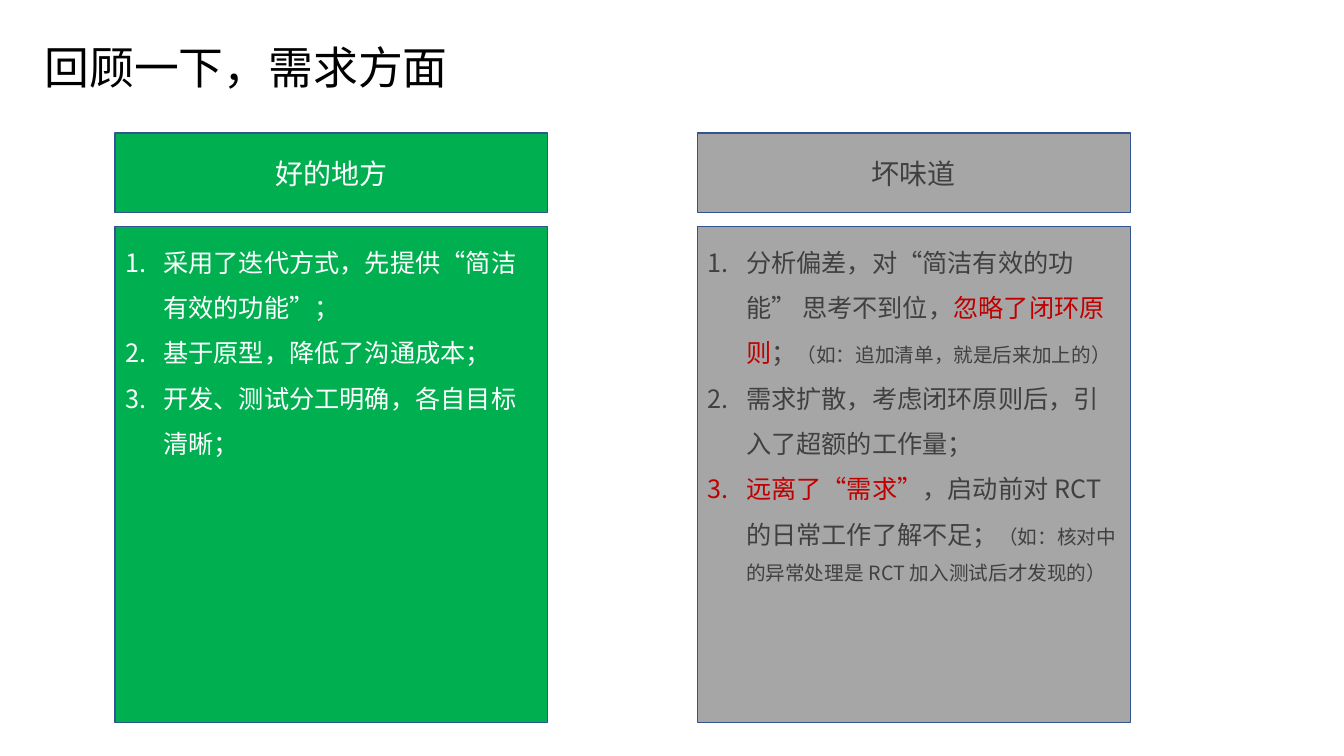
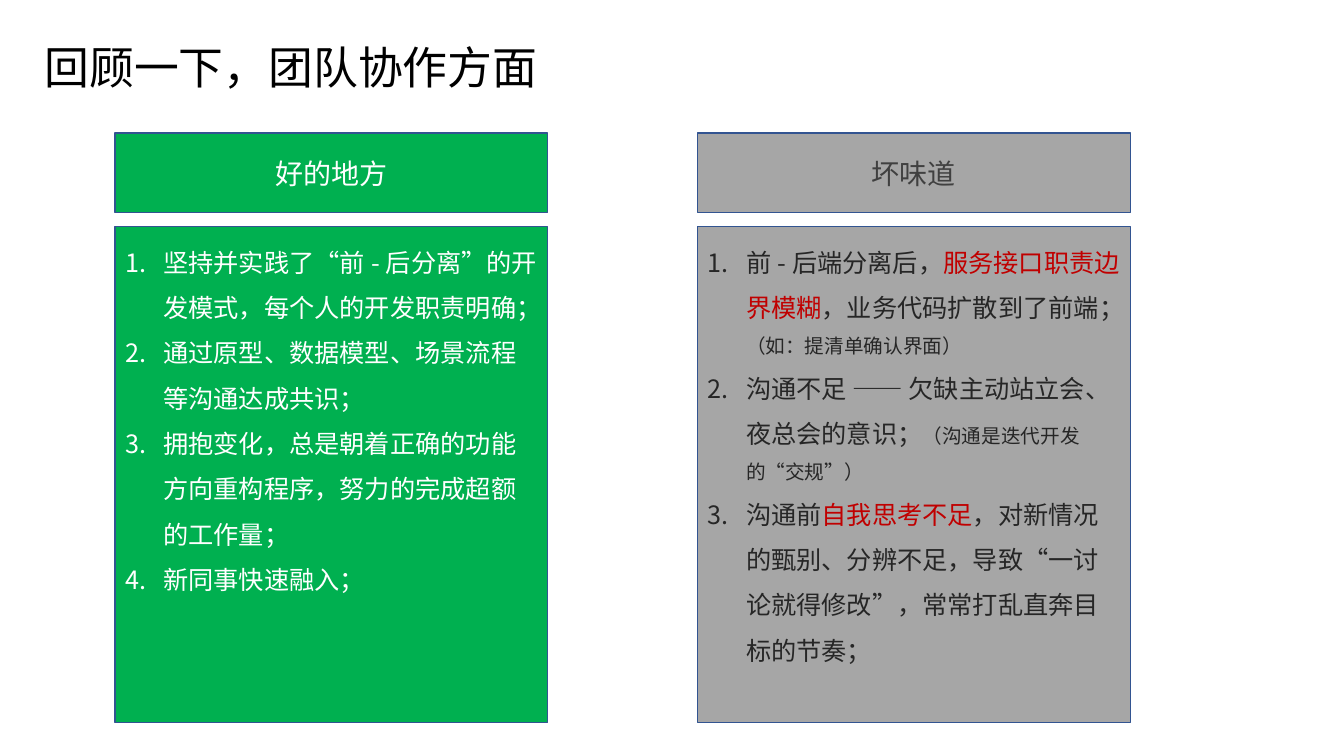
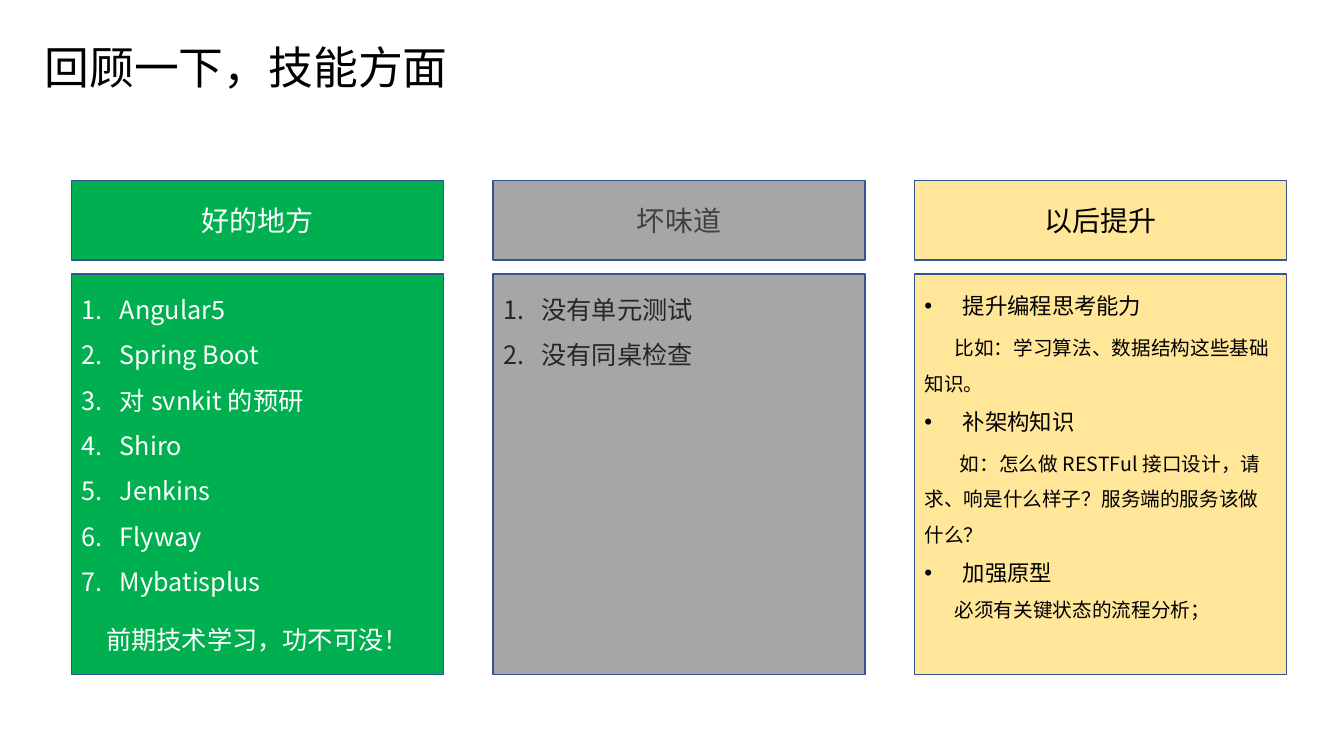
"""Builds three retrospective slides with paired headings and lists."""
from dataclasses import dataclass
from typing import NamedTuple

from lxml.etree import SubElement
from pptx import Presentation
from pptx.dml.color import RGBColor
from pptx.enum.shapes import MSO_SHAPE as Shape
from pptx.enum.text import MSO_ANCHOR as Anchor, MSO_AUTO_SIZE as AutoSize, PP_ALIGN as Align
from pptx.oxml.ns import qn
from pptx.util import Inches, Pt


@dataclass(frozen=True)
class Theme:
    """Colours, font and type sizes of the deck."""
    font: str = "Noto Sans CJK SC"
    green: str = "00B050"
    grey: str = "A6A6A6"
    yellow: str = "FFE699"
    border: str = "325491"
    white: str = "FFFFFF"
    black: str = "000000"
    dark: str = "404040"
    darker: str = "262626"
    red: str = "C00000"
    title: int = 32
    heading: int = 20
    list: int = 18
    bullet: int = 16
    small: int = 14
    spacing: float = 1.5


@dataclass(frozen=True)
class Grid:
    """Columns of a slide, each a heading row above a list row, in inches."""
    left: float
    top: float
    width: float
    gutter: float
    list_height: float
    heading_height: float = 0.79
    gap: float = 0.14

    def column(self, i):
        """Return the heading box and the list box of column i."""
        x = self.left + i * (self.width + self.gutter)
        list_top = self.top + self.heading_height + self.gap
        return ((x, self.top, self.width, self.heading_height),
                (x, list_top, self.width, self.list_height))


class Run(NamedTuple):
    """Text with its own colour or size."""
    text: str
    color: str = None
    size: int = None


class Para(NamedTuple):
    """Runs with paragraph settings; mark is a number, a bullet or nothing."""
    runs: list
    mark: str = "number"
    size: int = None
    indent: float = 0
    before: float = 0
    align: Align = Align.LEFT


T = Theme()
HANG = 0.38
TWO_COLUMNS = Grid(1.14, 1.32, 4.29, 1.49, 4.92)
THREE_COLUMNS = Grid(0.71, 1.79, 3.69, 0.49, 3.97)


def hot(text):
    """Return a run in the warning colour."""
    return Run(text, color=T.red)


def small(text):
    """Return a run in the small size."""
    return Run(text, size=T.small)


def items(*rows):
    """Return a numbered paragraph for each row of runs."""
    return [Para(row if isinstance(row, list) else [row]) for row in rows]


def bullet(text):
    """Return a bulleted paragraph."""
    return Para([text], "bullet", T.bullet)


def detail(text, indent, before=0):
    """Return a small paragraph with an indented first line."""
    return Para([text], None, T.small, indent, before)


class Deck:
    """Holds the style and the current slide."""

    def __init__(self, theme):
        """Start an empty wide presentation."""
        self.theme = theme
        self.prs = Presentation()
        self.prs.slide_width, self.prs.slide_height = Inches(13.33), Inches(7.5)

    def slide(self, title, grid):
        """Add a slide with its title."""
        self.s = self.prs.slides.add_slide(self.prs.slide_layouts.get_by_name("Comparison"))
        self.grid = grid
        self.spare = (sp for sp in self.s.placeholders if sp.placeholder_format.idx)
        sp, size = self.s.shapes.title, self.theme.title
        self.place(sp, (0.34, 0.34, len(title) * size / 72 + 0.25, 0.64))
        self.fill_text(sp, [Para([title], None)], size, self.theme.black, 1)

    def place(self, sp, box):
        """Move a shape to a box given in inches."""
        sp.left, sp.top, sp.width, sp.height = map(Inches, box)

    def box(self, box, fill):
        """Fill the next free placeholder, or a rectangle when none is left."""
        sp = next(self.spare, None) or self.s.shapes.add_shape(Shape.RECTANGLE, 0, 0, 0, 0)
        self.place(sp, box)
        sp.shadow.inherit = False
        sp.fill.solid()
        sp.fill.fore_color.rgb = RGBColor.from_string(fill)
        sp.line.color.rgb = RGBColor.from_string(self.theme.border)
        sp.line.width = Pt(1)
        return sp

    def column(self, i, heading, paras, fill, heading_color, list_color):
        """Add a heading and the list below it."""
        t = self.theme
        heading_box, list_box = self.grid.column(i)
        self.fill_text(self.box(heading_box, fill), [Para([heading], None, align=Align.CENTER)],
                       t.heading, heading_color, 1, Anchor.MIDDLE)
        self.fill_text(self.box(list_box, fill), paras, t.list, list_color, t.spacing)

    def good(self, paras):
        """Add the green first column."""
        self.column(0, "好的地方", paras, self.theme.green, self.theme.white, self.theme.white)

    def bad(self, paras, color):
        """Add the grey second column."""
        self.column(1, "坏味道", paras, self.theme.grey, self.theme.dark, color)

    def better(self, paras):
        """Add the yellow third column."""
        self.column(2, "以后提升", paras, self.theme.yellow, self.theme.black, self.theme.black)

    def fill_text(self, sp, paras, size, color, spacing, anchor=Anchor.TOP):
        """Fill a shape with paragraphs."""
        tf = sp.text_frame
        tf.word_wrap, tf.auto_size, tf.vertical_anchor = True, AutoSize.NONE, anchor
        for i, para in enumerate(paras):
            p = tf.add_paragraph() if i else tf.paragraphs[0]
            p.alignment, p.line_spacing = para.align, spacing
            p.space_before, p.space_after = Pt(para.before), Pt(0)
            self.mark(p, para)
            for run in para.runs:
                run = run if isinstance(run, Run) else Run(run)
                r = p.add_run()
                r.text = run.text
                self.style(r, run.size or para.size or size, run.color or color)

    def mark(self, p, para):
        """Set the indent and the number or bullet of a paragraph."""
        pPr = p._p.get_or_add_pPr()
        pPr.set("marL", str(Inches(HANG if para.mark else 0)))
        pPr.set("indent", str(Inches(-HANG if para.mark else para.indent)))
        if para.mark == "number":
            SubElement(pPr, qn("a:buFont"), typeface=self.theme.font)
            SubElement(pPr, qn("a:buAutoNum"), type="arabicPeriod")
        elif para.mark == "bullet":
            SubElement(pPr, qn("a:buFont"), typeface="Arial")
            SubElement(pPr, qn("a:buChar"), char="•")
        else:
            SubElement(pPr, qn("a:buNone"))

    def style(self, r, size, color):
        """Set the font of a run for Latin and Chinese text."""
        r.font.size, r.font.bold, r.font.name = Pt(size), False, self.theme.font
        r.font.color.rgb = RGBColor.from_string(color)
        SubElement(r._r.get_or_add_rPr(), qn("a:ea"), typeface=self.theme.font)


def main():
    """Build the deck."""
    deck = Deck(T)

    deck.slide("回顾一下，需求方面", TWO_COLUMNS)
    deck.good(items(
        "采用了迭代方式，先提供“简洁有效的功能”；",
        "基于原型，降低了沟通成本；",
        "开发、测试分工明确，各自目标清晰；"))
    deck.bad(items(
        ["分析偏差，对“简洁有效的功能” 思考不到位，", hot("忽略了闭环原则"), "；",
         small("（如：追加清单，就是后来加上的）")],
        "需求扩散，考虑闭环原则后，引入了超额的工作量；",
        [hot("远离了“需求”"), "，启动前对RCT的日常工作了解不足；",
         small("（如：核对中的异常处理是RCT加入测试后才发现的）")]), T.dark)

    deck.slide("回顾一下，团队协作方面", TWO_COLUMNS)
    deck.good(items(
        "坚持并实践了“前-后分离”的开发模式，每个人的开发职责明确；",
        "通过原型、数据模型、场景流程等沟通达成共识；",
        "拥抱变化，总是朝着正确的功能方向重构程序，努力的完成超额的工作量；",
        "新同事快速融入；"))
    deck.bad(items(
        ["前-后端分离后，", hot("服务接口职责边界模糊"), "，业务代码扩散到了前端；",
         small("（如：提清单确认界面）")],
        ["沟通不足 —— 欠缺主动站立会、夜总会的意识；", small("（沟通是迭代开发的“交规”）")],
        ["沟通前", hot("自我思考不足"),
         "，对新情况的甄别、分辨不足，导致“一讨论就得修改”，常常打乱直奔目标的节奏；"]), T.darker)

    deck.slide("回顾一下，技能方面", THREE_COLUMNS)
    deck.good(items("Angular5", "Spring Boot", "对svnkit的预研", "Shiro", "Jenkins", "Flyway",
                    "Mybatisplus")
              + [Para(["前期技术学习，功不可没！"], None, before=9, align=Align.CENTER)])
    deck.bad(items("没有单元测试", "没有同桌检查"), T.darker)
    deck.better([
        bullet("提升编程思考能力"),
        detail("比如：学习算法、数据结构这些基础知识。", 0.3, 3.6),
        bullet("补架构知识"),
        detail("如：怎么做RESTFul接口设计，请求、响是什么样子？服务端的服务该做什么？", 0.35, 3.6),
        bullet("加强原型"),
        detail("必须有关键状态的流程分析；", 0.3)])

    deck.prs.save("out.pptx")


if __name__ == "__main__":
    main()
